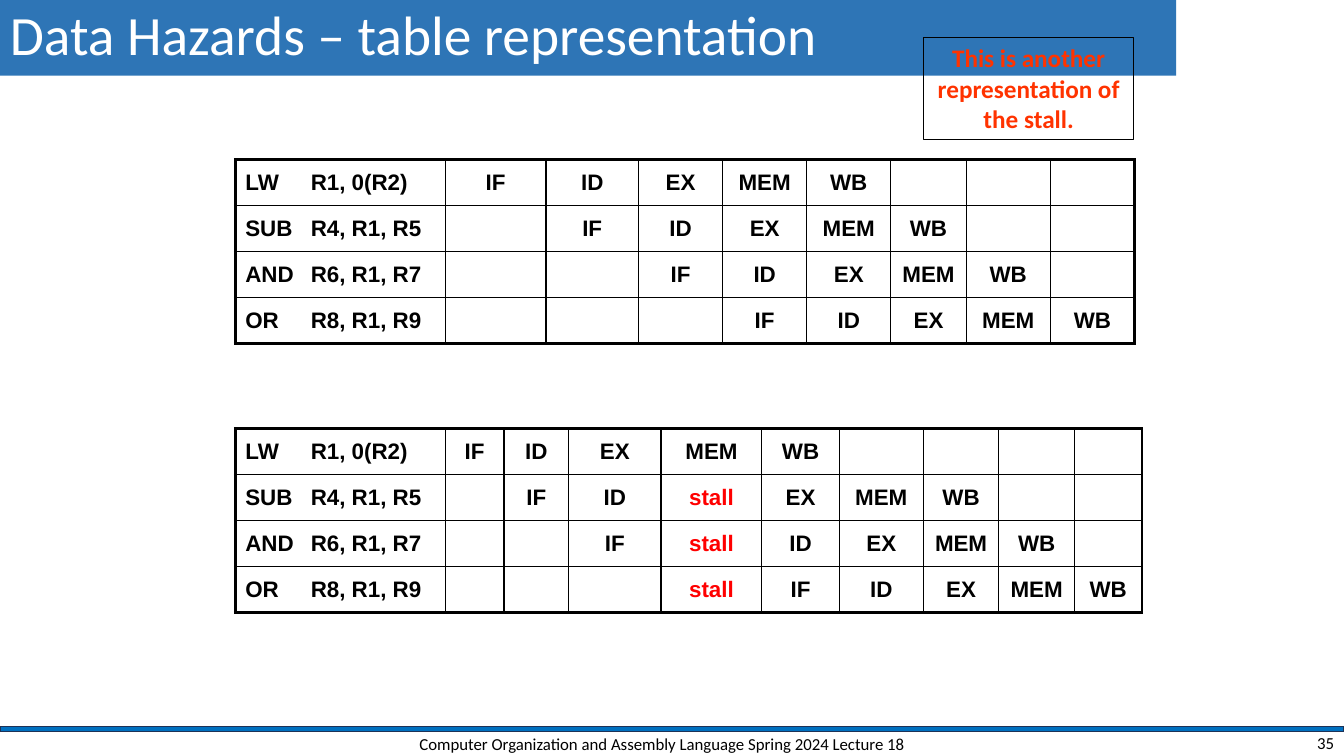
from lxml.etree import SubElement
from pptx import Presentation
from pptx.dml.color import RGBColor
from pptx.enum.shapes import MSO_SHAPE as Shape
from pptx.enum.text import MSO_ANCHOR as Anchor, PP_ALIGN as Align
from pptx.oxml.ns import qn
from pptx.util import Cm, Pt

COLORS = {
    "title": "2E75B6",
    "bar": "0070C0",
    "bar_line": "1E3256",
    "white": "FFFFFF",
    "black": "000000",
    "callout": "FF3300",
    "stall": "FF0000",
}
STAGES = ["IF", "ID", "EX", "MEM", "WB"]
INSTRUCTIONS = [
    ("LW", "R1, 0(R2)"),
    ("SUB", "R4, R1, R5"),
    ("AND", "R6, R1, R7"),
    ("OR", "R8, R1, R9"),
]
OPERAND_TAB = Cm(1.65)
STALL_SLOT = 3
ROW_HEIGHT = Cm(1.16)
TABLE_LEFT = Cm(5.93)
TABLES = [
    (4.02, [5.29, 2.54, 2.33, 2.12, 2.12, 2.12, 1.9, 2.12, 2.12], False),
    (10.8, [5.29, 1.48, 1.63, 2.33, 2.54, 1.95, 2.12, 1.9, 1.91, 1.7], True),
]


def write(frame, text, size=12, font="Calibri", color="black", bold=False,
          align=Align.LEFT, anchor=Anchor.MIDDLE, spacing=None, tab=None):
    frame.word_wrap = True
    frame.vertical_anchor = anchor
    para = frame.paragraphs[0]
    para.alignment = align
    if spacing:
        para.line_spacing = spacing
    if tab:
        stops = SubElement(para._p.get_or_add_pPr(), qn("a:tabLst"))
        SubElement(stops, qn("a:tab"), pos=str(int(tab)), algn="l")
    span = para.add_run()
    span.text = text
    span.font.size = Pt(size)
    span.font.name = font
    span.font.bold = bold
    span.font.color.rgb = RGBColor.from_string(COLORS[color])


def add_box(left, top, width, height, fill=None, line=None, weight=1):
    box = page.shapes.add_shape(Shape.RECTANGLE, Cm(left), Cm(top), Cm(width), Cm(height))
    box.shadow.inherit = False
    if fill:
        box.fill.solid()
        box.fill.fore_color.rgb = RGBColor.from_string(COLORS[fill])
    else:
        box.fill.background()
    if line:
        box.line.color.rgb = RGBColor.from_string(COLORS[line])
        box.line.width = Pt(weight)
    else:
        box.line.fill.background()
    return box


deck = Presentation()
deck.slide_width = Cm(33.87)
deck.slide_height = Cm(19.05)
page = deck.slides.add_slide(deck.slide_layouts[6])

add_box(0, 18.31, 33.87, 0.13, fill="bar", line="bar_line")

title = add_box(0, 0, 29.64, 1.91, fill="title")
write(title.text_frame, "Data Hazards – table representation",
      size=39.6, color="white", spacing=0.9)

footer = page.shapes.add_textbox(Cm(9.96), Cm(18.39), Cm(13.46), Cm(0.71))
write(footer.text_frame, "Computer Organization and Assembly Language Spring 2024 Lecture 18",
      align=Align.CENTER)

callout = add_box(23.28, 0.95, 5.29, 2.56, line="black", weight=0.75)
write(callout.text_frame, "This is another representation of the stall.",
      size=18, color="callout", bold=True, align=Align.CENTER, anchor=Anchor.TOP)

for top, widths, stalled in TABLES:
    row_count, column_count = len(INSTRUCTIONS), len(widths)
    grid = page.shapes.add_table(row_count, column_count, TABLE_LEFT, Cm(top),
                                 Cm(sum(widths)), ROW_HEIGHT * row_count).table
    grid.first_row = False
    grid.horz_banding = False
    for column, width in zip(grid.columns, widths):
        column.width = Cm(width)

    for row, (operation, operands) in enumerate(INSTRUCTIONS):
        grid.rows[row].height = ROW_HEIGHT
        slots = [""] * row + STAGES
        if stalled and row > 0:
            slots.insert(STALL_SLOT, "stall")
        labels = [f"{operation}\t{operands}"] + slots
        labels += [""] * (column_count - len(labels))

        for column, label in enumerate(labels):
            cell = grid.cell(row, column)
            outer_edges = {
                "a:lnL": column == 0,
                "a:lnR": column == column_count - 1,
                "a:lnT": row == 0,
                "a:lnB": row == row_count - 1,
            }
            properties = cell._tc.get_or_add_tcPr()
            for edge, outer in outer_edges.items():
                border = SubElement(properties, qn(edge), w=str(int(Pt(2.25 if outer else 1))))
                paint = SubElement(border, qn("a:solidFill"))
                SubElement(paint, qn("a:srgbClr"), val=COLORS["black"])
            cell.fill.background()
            cell.vertical_anchor = Anchor.MIDDLE
            if label:
                write(cell.text_frame, label, size=16, font="Arial", bold=True,
                      color="stall" if label == "stall" else "black",
                      align=Align.CENTER if column else Align.LEFT,
                      tab=None if column else OPERAND_TAB)

number = page.shapes.add_textbox(Cm(26.25), Cm(18.39), Cm(7.62), Cm(0.64))
write(number.text_frame, "35", align=Align.RIGHT)

deck.save("out.pptx")
